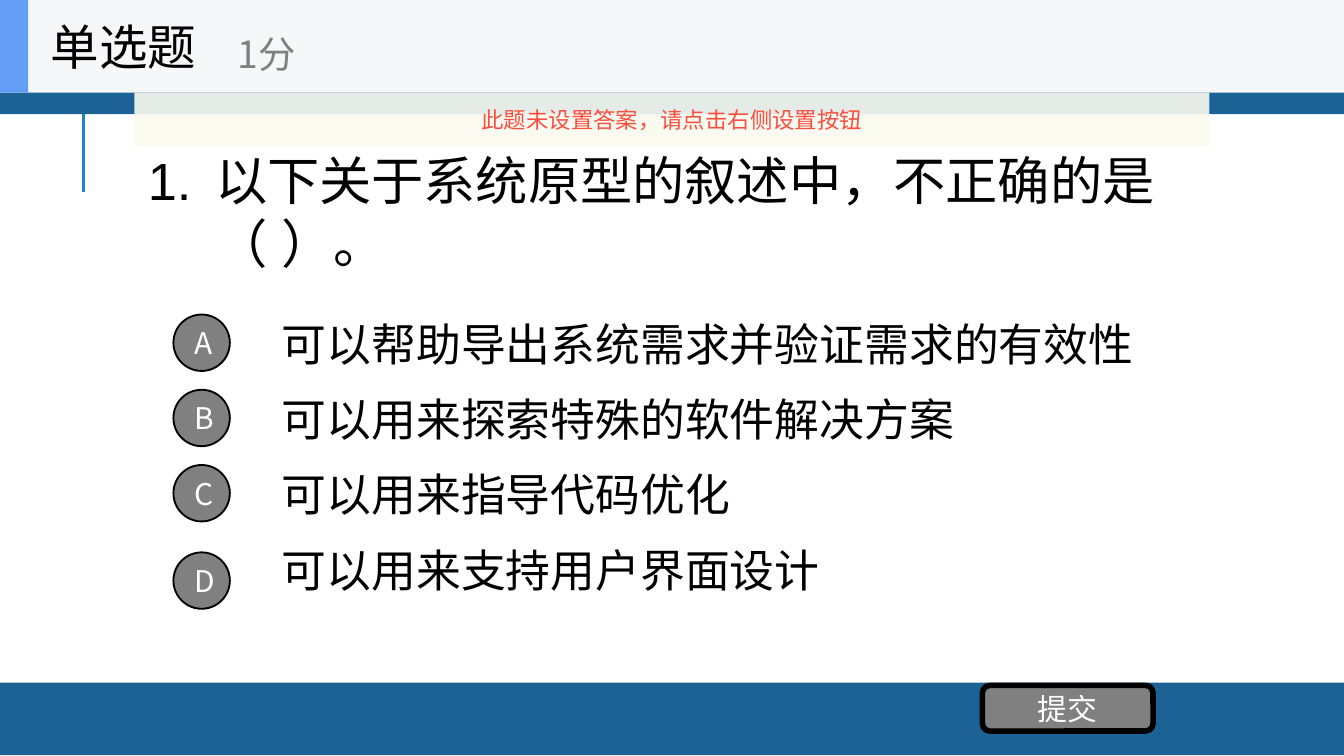
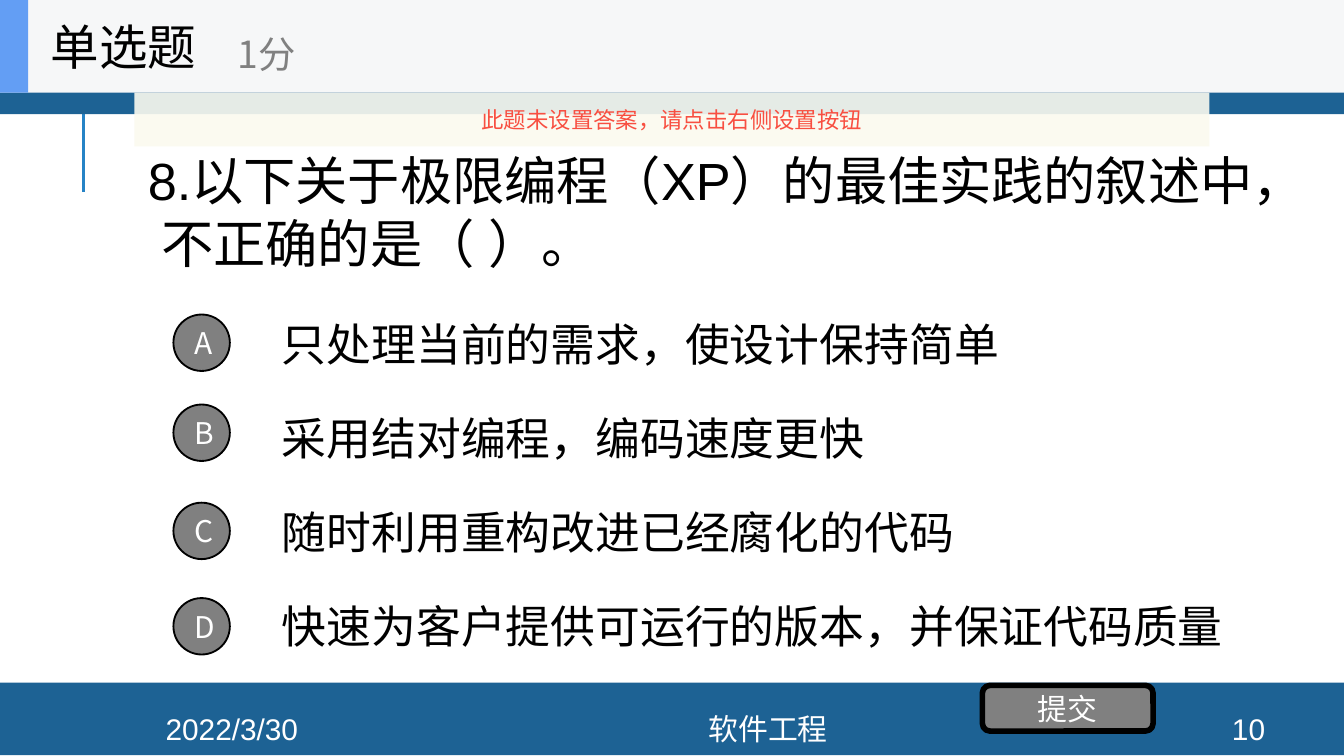
import pptx
import pptx.util
import pptx.dml.color
import pptx.enum.shapes
import pptx.enum.text
import pptx.oxml
import pptx.oxml.ns
from dataclasses import dataclass

Inches = pptx.util.Inches
Shape = pptx.enum.shapes.MSO_SHAPE
Align = pptx.enum.text.PP_ALIGN
qn = pptx.oxml.ns.qn


@dataclass(frozen=True)
class Theme:
    # Colours
    band: str = "1D6294"
    rule: str = "2683C6"
    header: str = "F6F7F8"
    accent: str = "639EF4"
    notice: str = "FBFAEF"
    warning: str = "F84F41"
    grey: str = "808080"
    ink: str = "000000"
    paper: str = "FFFFFF"
    # Fonts and type sizes
    text_font: str = "Arial"
    label_font: str = "Noto Sans CJK SC"
    question: int = 28
    heading: int = 26
    option: int = 24
    points: int = 20
    label: int = 16
    small: int = 12


THEME = Theme()
WIDTH = 10
HEIGHT = WIDTH * 9 / 16


def rgb(value):
    return pptx.dml.color.RGBColor.from_string(value)


def add_xml(parent, tag, **attributes):
    element = pptx.oxml.parse_xml(f"<a:{tag} {pptx.oxml.ns.nsdecls('a')}/>")
    for name, value in attributes.items():
        element.set(name, str(value))
    parent.append(element)
    return element


def write(shape, text, size, color, font, align=Align.LEFT):
    """Put one vertically centred paragraph into a shape."""
    frame = shape.text_frame
    frame.word_wrap = True
    frame.auto_size = pptx.enum.text.MSO_AUTO_SIZE.NONE
    frame.vertical_anchor = pptx.enum.text.MSO_ANCHOR.MIDDLE
    frame.margin_left = frame.margin_right = Inches(0.1)
    frame.margin_top = frame.margin_bottom = Inches(0)
    paragraph = frame.paragraphs[0]
    paragraph.text = text
    paragraph.alignment = align
    paragraph.font.size = pptx.util.Pt(size)
    paragraph.font.color.rgb = rgb(color)
    paragraph.font.name = font
    # East Asian characters use the same font
    add_xml(paragraph._p.pPr.find(qn("a:defRPr")), "ea", typeface=font)
    return paragraph


def add_box(slide, kind, left, top, width, height, fill, line_width=0):
    shape = slide.shapes.add_shape(
        kind, Inches(left), Inches(top), Inches(width), Inches(height))
    shape.shadow.inherit = False
    shape.fill.solid()
    shape.fill.fore_color.rgb = rgb(fill)
    if line_width:
        shape.line.color.rgb = rgb(THEME.ink)
        shape.line.width = pptx.util.Pt(line_width)
    else:
        shape.line.fill.background()
    return shape


def add_text(slide, left, top, width, height, *style, **options):
    shape = slide.shapes.add_textbox(
        Inches(left), Inches(top), Inches(width), Inches(height))
    return write(shape, *style, **options)


def add_frame(slide):
    """Blue bands and the vertical rule."""
    rule = slide.shapes.add_connector(
        pptx.enum.shapes.MSO_CONNECTOR.STRAIGHT,
        Inches(0.62), Inches(1.43), Inches(0.62), Inches(0.68))
    rule.line.color.rgb = rgb(THEME.rule)
    rule.line.width = pptx.util.Pt(1.5)
    add_xml(rule._element.spPr, "effectLst")
    add_box(slide, Shape.RECTANGLE, 0, 5.08, WIDTH, 0.54, THEME.band)
    add_box(slide, Shape.RECTANGLE, 0, -0.03, WIDTH, 0.88, THEME.band)


def add_footer(slide, top, date, course, number):
    for left, width, text in ((0.84, 1.77, date), (2.61, 6.21, course),
                              (8.89, 0.8, number)):
        add_text(slide, left, top, width, 0.23, text, THEME.label, THEME.paper,
                 THEME.text_font, align=Align.CENTER)


def add_question(slide, left, top, width, height, text, number, hanging):
    title = slide.shapes.title
    title.left, title.top = Inches(left), Inches(top)
    title.width, title.height = Inches(width), Inches(height)
    # The number takes the paragraph's font, the words take the run's
    paragraph = write(title, text, THEME.question, THEME.ink, THEME.label_font)
    run = paragraph.runs[0]
    run.font.name = THEME.text_font
    add_xml(run._r.rPr, "ea", typeface=THEME.text_font)
    properties = paragraph._p.pPr
    properties.set("marL", str(Inches(hanging)))
    properties.set("indent", str(Inches(-0.5)))
    defaults = properties.find(qn("a:defRPr"))
    defaults.addprevious(add_xml(properties, "buFont", typeface=THEME.label_font))
    defaults.addprevious(add_xml(properties, "buAutoNum", type="arabicPeriod",
                                 startAt=number))


def add_options(slide, left, top, pitch, options, badge_offsets, widths):
    """Answers in equal rows, each with a lettered badge on its left."""
    for row, (letter, text) in enumerate(zip("ABCD", options)):
        row_top = top + row * pitch
        add_text(slide, left + 0.71, row_top, widths[row], 0.53, text,
                 THEME.option, THEME.ink, THEME.text_font)
        badge = add_box(slide, Shape.OVAL, left, row_top + badge_offsets[row],
                        0.42, 0.42, THEME.grey, 1)
        write(badge, letter, THEME.label, THEME.paper, THEME.label_font,
              Align.CENTER)


def add_submit(slide, left, top):
    button = add_box(slide, Shape.ROUNDED_RECTANGLE, left, top, 1.27, 0.34,
                     THEME.grey, 3)
    write(button, "提交", THEME.label, THEME.paper, THEME.label_font, Align.CENTER)


def add_header(slide, height):
    """Question type, points and the notice below them."""
    add_box(slide, Shape.RECTANGLE, 0, 0, WIDTH, height, THEME.header)
    add_box(slide, Shape.RECTANGLE, 0, 0, 0.21, height, THEME.accent)
    add_text(slide, 0.28, 0, 2.08, height, "单选题", THEME.heading, THEME.ink,
             THEME.label_font)
    add_text(slide, 1.67, 0.12, 2.5, 0.56, "1分", THEME.points, THEME.grey,
             THEME.label_font)
    notice = add_box(slide, Shape.RECTANGLE, 1, height, 8, 0.4, THEME.notice)
    color = notice._element.spPr.find(qn("a:solidFill")).find(qn("a:srgbClr"))
    add_xml(color, "alpha", val=90000)
    write(notice, "此题未设置答案，请点击右侧设置按钮", THEME.small, THEME.warning,
          THEME.label_font, Align.CENTER)


def add_quiz_slide(presentation, question, number, options, pitch, badge_offsets,
                   question_width=8, hanging=0.5, last_width=7, footer=None):
    slide = presentation.slides.add_slide(presentation.slide_layouts[5])
    slide.background.fill.solid()
    slide.background.fill.fore_color.rgb = rgb(THEME.paper)
    add_frame(slide)
    if footer:
        add_footer(slide, 5.31, *footer)
    add_question(slide, 1, 0.69, question_width, 1.76, question, number, hanging)
    add_options(slide, 1.29, 2.29, pitch, options, badge_offsets,
                (7, 7, 7, last_width))
    add_submit(slide, 7.31, 5.1)
    add_header(slide, 0.69)


presentation = pptx.Presentation()
presentation.slide_width, presentation.slide_height = Inches(WIDTH), Inches(HEIGHT)

# System prototypes
add_quiz_slide(
    presentation, "以下关于系统原型的叙述中，不正确的是（ ）。", 1,
    ("可以帮助导出系统需求并验证需求的有效性", "可以用来探索特殊的软件解决方案",
     "可以用来指导代码优化", "可以用来支持用户界面设计"),
    pitch=0.56, badge_offsets=(0.05, 0.05, 0.05, 0.14))

# Extreme programming
add_quiz_slide(
    presentation, "以下关于极限编程（XP）的最佳实践的叙述中，不正确的是（ ）。", 8,
    ("只处理当前的需求，使设计保持简单", "采用结对编程，编码速度更快",
     "随时利用重构改进已经腐化的代码", "快速为客户提供可运行的版本，并保证代码质量"),
    pitch=0.7, badge_offsets=(0.05, 0.02, 0.05, 0.06), question_width=8.69,
    hanging=0.1, last_width=7.33, footer=("2022/3/30", "软件工程", "10"))

presentation.save("out.pptx")
